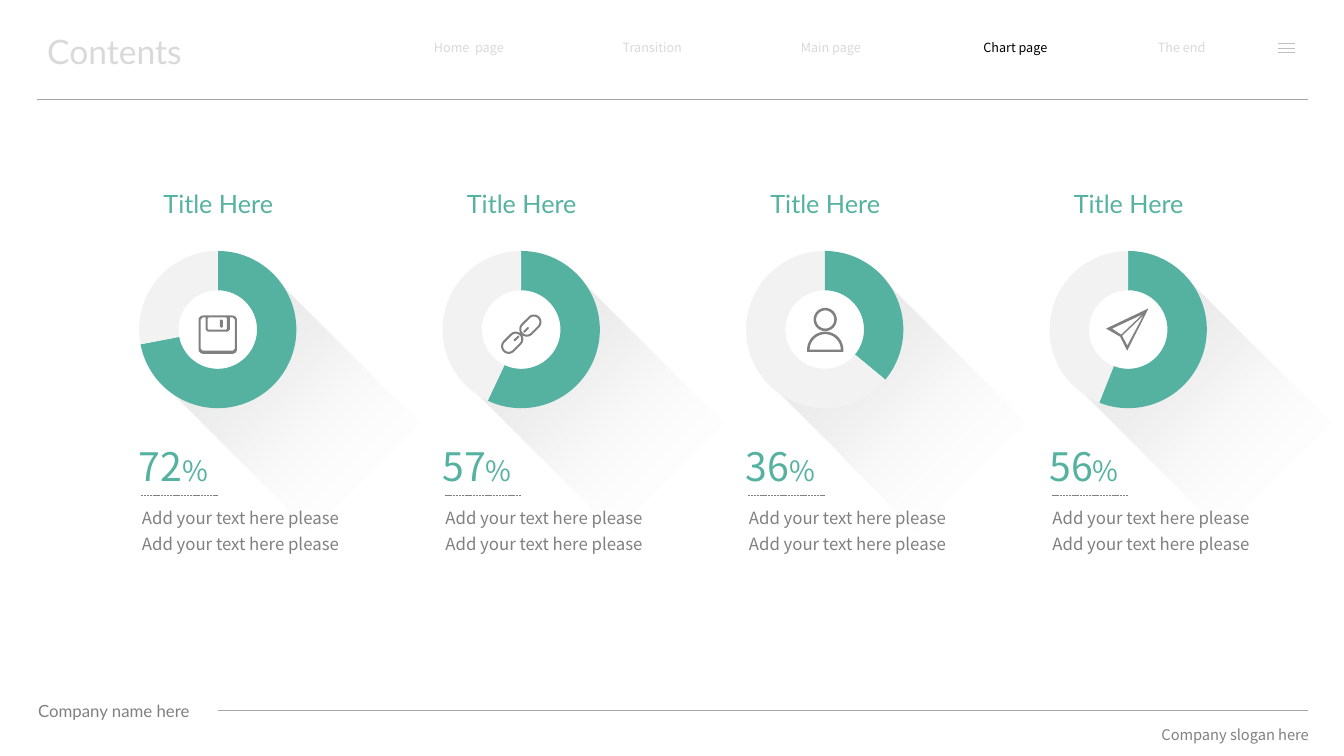
import math

import pptx
import pptx.chart.data
import pptx.dml.color
import pptx.enum.chart
import pptx.enum.dml
import pptx.enum.text
import pptx.oxml
import pptx.oxml.ns
import pptx.util
from lxml import etree

Inches, Pt, qn = pptx.util.Inches, pptx.util.Pt, pptx.oxml.ns.qn
RGBColor = pptx.dml.color.RGBColor
ALIGN = pptx.enum.text.PP_ALIGN

TEAL = RGBColor(0x55, 0xB2, 0xA0)
PALE = RGBColor(0xF2, 0xF2, 0xF2)
GREY = RGBColor(0x80, 0x80, 0x80)
RULE_GREY = RGBColor(0xA6, 0xA6, 0xA6)
MENU_GREY = RGBColor(0xBF, 0xBF, 0xBF)
FADED = RGBColor(0xD9, 0xD9, 0xD9)
BLACK = RGBColor(0, 0, 0)

HEADING_FONT, BODY_FONT = "Lato", "Noto Sans CJK SC"
LEFT, RIGHT = 0.37, 12.97
FIRST_CENTRE, COLUMN, RING_Y = 2.16, 3.01, 3.27
CHART_WIDTH, CHART_HEIGHT, RING_SIZE = 2.75, 1.84, 1.56
UNIT = Inches(0.01)  # outlines are given in hundredths of an inch
SHADOW_STOPS = [(13, "FFFFFF", 0), (58, "E6E6E6", 60), (100, "DCDCDC", 85)]


def add_text(page, spans, at, font, colour, align=ALIGN.LEFT, spacing=None):
    """Add one paragraph made of (text, size) spans."""
    box = page.shapes.add_textbox(*map(Inches, at))
    frame = box.text_frame
    frame.word_wrap = True
    frame.auto_size = pptx.enum.text.MSO_AUTO_SIZE.SHAPE_TO_FIT_TEXT
    para = frame.paragraphs[0]
    para.alignment = align
    if spacing:
        para.line_spacing = spacing
    for text, size in spans:
        span = para.add_run()
        span.text = text
        span.font.name = font
        span.font.size = Pt(size)
        span.font.color.rgb = colour


def add_rule(page, left, right, y, colour, dash=None):
    rule = page.shapes.add_connector(
        pptx.enum.shapes.MSO_CONNECTOR.STRAIGHT,
        Inches(left), Inches(y), Inches(right), Inches(y))
    rule.line.color.rgb = colour
    rule.line.width = Pt(0.5)
    if dash:
        rule.line.dash_style = dash
    etree.SubElement(rule._element.spPr, qn("a:effectLst"))


def arc(x, y, radius, start, end):
    """Points on a circle between two angles in degrees, y pointing down."""
    steps = max(6, round(abs(end - start) / 10))
    angles = [math.radians(start + (end - start) * i / steps) for i in range(steps + 1)]
    return [(x + radius * math.cos(a), y + radius * math.sin(a)) for a in angles]


def capsule(x1, y1, x2, y2, radius):
    turn = math.degrees(math.atan2(y2 - y1, x2 - x1))
    return (arc(x2, y2, radius, turn - 90, turn + 90)
            + arc(x1, y1, radius, turn + 90, turn + 270))


def rounded_box(left, top, right, bottom, radius):
    corners = [(right - radius, top + radius), (right - radius, bottom - radius),
               (left + radius, bottom - radius), (left + radius, top + radius)]
    return [point for i, (x, y) in enumerate(corners)
            for point in arc(x, y, radius, 90 * i - 90, 90 * i)]


def add_outline(page, contours, x, y):
    """Draw closed contours around a centre; inner contours become holes."""
    scaled = [[(px * UNIT, py * UNIT) for px, py in contour] for contour in contours]
    builder = page.shapes.build_freeform(*scaled[0][0])
    builder.add_line_segments(scaled[0][1:])
    for contour in scaled[1:]:
        builder.move_to(*contour[0])
        builder.add_line_segments(contour[1:])
    shape = builder.convert_to_shape(Inches(x), Inches(y))
    shape.shadow.inherit = False
    shape.line.fill.background()
    shape.fill.solid()
    shape.fill.fore_color.rgb = GREY
    return shape


def add_long_shadow(page, centre):
    band = arc(-104, 0, 72, 90, -90) + [(-104, -76), (104, -76), (104, 76), (-104, 76)]
    shadow = add_outline(page, [band], centre + 0.73, RING_Y + 0.73)
    shadow.rotation = 45
    shadow.fill.gradient()
    shadow.fill.gradient_angle = 180
    stops = shadow._element.spPr.find(".//" + qn("a:gsLst"))
    for stop in list(stops):
        stops.remove(stop)
    for position, colour, opacity in SHADOW_STOPS:
        stop = etree.SubElement(stops, qn("a:gs"), pos=str(position * 1000))
        tint = etree.SubElement(stop, qn("a:srgbClr"), val=colour)
        etree.SubElement(tint, qn("a:alpha"), val=str(opacity * 1000))


def add_ring(page, centre, percent):
    data = pptx.chart.data.CategoryChartData()
    data.categories = ["1", "2"]
    data.add_series("Series 1", [percent, 100 - percent])
    chart = page.shapes.add_chart(
        pptx.enum.chart.XL_CHART_TYPE.DOUGHNUT,
        Inches(centre - CHART_WIDTH / 2), Inches(RING_Y - CHART_HEIGHT / 2),
        Inches(CHART_WIDTH), Inches(CHART_HEIGHT), data).chart
    chart.has_title = chart.has_legend = False
    chart.font.name, chart.font.size = BODY_FONT, Pt(10)
    chart.font.color.rgb = BLACK
    plot = chart.plots[0]
    plot.has_data_labels = False
    for i, colour in enumerate([TEAL, PALE]):
        style = plot.series[0].points[i].format
        style.fill.solid()
        style.fill.fore_color.rgb = colour
        style.line.fill.background()
    area = chart._chartSpace.find(".//" + qn("c:plotArea"))
    area.find(".//" + qn("c:holeSize")).set("val", "90")
    layout = area.find(qn("c:layout"))
    if layout is None:
        layout = etree.Element(qn("c:layout"))
        area.insert(0, layout)
    manual = etree.SubElement(layout, qn("c:manualLayout"))
    width, height = RING_SIZE / CHART_WIDTH, RING_SIZE / CHART_HEIGHT
    for name, value in [("layoutTarget", "inner"), ("xMode", "edge"), ("yMode", "edge"),
                        ("x", (1 - width) / 2), ("y", (1 - height) / 2),
                        ("w", width), ("h", height)]:
        etree.SubElement(manual, qn("c:" + name), val=str(value))


DISK = [rounded_box(-19, -14, 19, 24, 4.5), rounded_box(-10, -12, 9, 0, 1),
        [(-12, -12), (-12, 0), (-10, 2), (10, 2), (12, 0), (12, -12), (15, -12),
         (17, -10), (17, 19), (15, 21), (-15, 21), (-17, 19), (-17, -10), (-15, -12)],
        rounded_box(2, -10, 5, -2, 1.4)]
LINK = [capsule(5.5, -0.5, 12.5, -7.5, 7.5), capsule(5.5, -0.5, 12.5, -7.5, 5.5),
        capsule(3, 2, 6.5, -1.5, 1),
        capsule(-5.5, 9.5, -12.5, 16.5, 7.5), capsule(-5.5, 9.5, -12.5, 16.5, 5.5),
        capsule(-3, 7, -6.5, 10.5, 1)]
HEAD = [arc(0.5, -10, 11.5, 0, 360), arc(0.5, -10, 9, 0, 360)]
BODY = [arc(0.5, 20, 18, 180, 360) + [(18.5, 22), (-17.5, 22)],
        arc(0.5, 20, 15.5, 180, 360)]
PLANE = [[(20, -21), (-22, -1), (-8, 7), (-1, 21)], [(-16, -1), (14, -15), (-7, 5)],
         [(-1, 16), (-6, 6), (15, -14)]]


def add_column(page, centre, percent, icon):
    add_ring(page, centre, percent)
    for contours in icon:
        add_outline(page, contours, centre, RING_Y)
    add_text(page, [(str(percent), 28), ("%", 20)],
             (centre - 0.88, 4.34, 1.18, 0.57), BODY_FONT, TEAL)
    add_rule(page, centre - 0.76, centre, 4.91, GREY, pptx.enum.dml.MSO_LINE.SQUARE_DOT)
    add_text(page, [("Add your text here please Add your text here please", 12)],
             (centre - 0.85, 4.93, 2.23, 0.89), BODY_FONT, GREY, spacing=1.3)
    add_text(page, [("Title Here", 18)], (centre - 0.74, 1.82, 1.49, 0.4),
             HEADING_FONT, TEAL, ALIGN.CENTER)


def add_header(page):
    add_text(page, [("Contents", 24)], (LEFT, 0.26, 2.55, 0.5), HEADING_FONT, FADED)
    add_rule(page, LEFT, RIGHT, 0.99, RULE_GREY)
    for label, left, width in [("Home  page", 3.93, 1.44), ("Transition", 5.8, 1.34),
                               ("Main page", 7.57, 1.34), ("Chart page", 9.34, 1.46),
                               ("The end", 11.24, 0.96)]:
        colour = BLACK if label == "Chart page" else FADED
        add_text(page, [(label, 9)], (left, 0.35, width, 0.25), BODY_FONT, colour,
                 ALIGN.CENTER)
    for y in (0.43, 0.48, 0.52):
        add_rule(page, 12.68, 12.84, y, MENU_GREY)


def add_footer(page):
    add_rule(page, FIRST_CENTRE, RIGHT, 7.05, RULE_GREY)
    add_text(page, [("Company name here", 12)], (0.28, 6.9, 2.16, 0.3), HEADING_FONT, GREY)
    add_text(page, [("Company slogan here", 10.5)], (10.84, 7.15, 2.24, 0.28),
             BODY_FONT, GREY, ALIGN.RIGHT)


def main():
    deck = pptx.Presentation()
    deck.slide_width, deck.slide_height = Inches(13.33), Inches(7.5)
    page = deck.slides.add_slide(deck.slide_layouts[6])
    columns = [(72, [DISK]), (57, [LINK]), (36, [HEAD, BODY]), (56, [PLANE])]
    centres = [FIRST_CENTRE + COLUMN * i for i in range(len(columns))]
    for centre in reversed(centres):
        add_long_shadow(page, centre)
    add_header(page)
    add_footer(page)
    for centre, (percent, icon) in zip(centres, columns):
        add_column(page, centre, percent, icon)
    deck.save("out.pptx")


if __name__ == "__main__":
    main()
